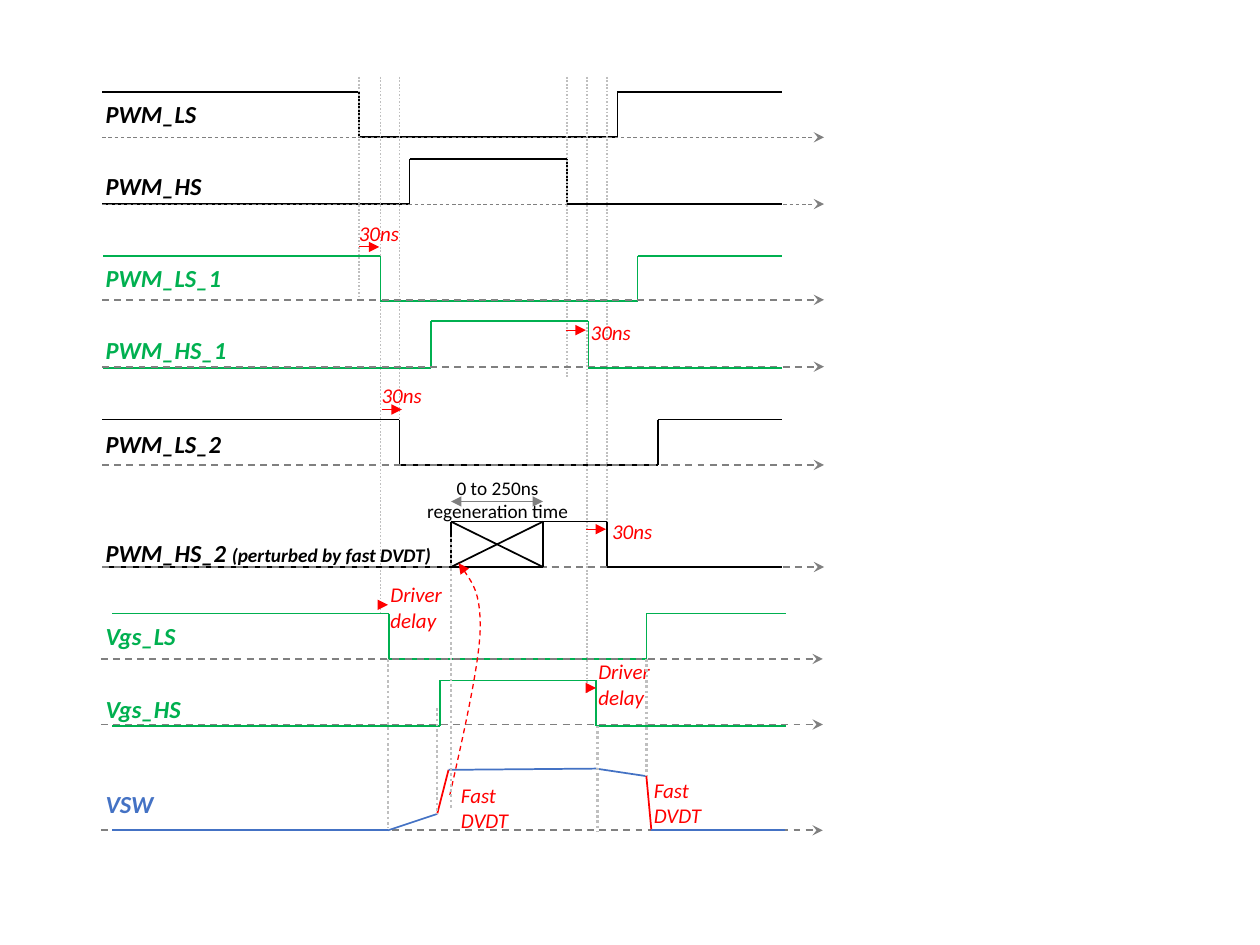
from itertools import pairwise

from pptx import Presentation
from pptx import util as u
from pptx.dml.color import RGBColor
from pptx.enum import dml, shapes, text
from pptx.oxml import ns, xmlchemy as xml

BLACK, GREEN, BLUE, RED = "000000", "00B050", "4472C4", "FF0000"
GRAY, PALE = "808080", "BFBFBF"
DASH, DOT = dml.MSO_LINE.DASH, dml.MSO_LINE.ROUND_DOT

# name, colour, label top and width, first and second level, start, edges, end
WAVES = [
    ("PWM_LS", BLACK, 0.74, 0.95, 0.73, 1.09, 0.81, 2.85, 4.9, 6.21),
    ("PWM_HS", BLACK, 1.31, 0.99, 1.62, 1.26, 0.81, 3.25, 4.5, 6.21),
    ("PWM_LS_1", GREEN, 2.04, 1.15, 2.03, 2.39, 0.82, 3.02, 5.06, 6.21),
    ("PWM_HS_1", GREEN, 2.61, 1.19, 2.92, 2.55, 0.82, 3.42, 4.67, 6.21),
    ("PWM_LS_2", BLACK, 3.36, 1.15, 3.33, 3.69, 0.81, 3.17, 5.22, 6.21),
    ("PWM_HS_2 ", BLACK, 4.22, 2.83, 4.5, 4.14, 0.81, 3.58, 4.82, 6.21),
    ("Vgs_LS", GREEN, 4.88, 0.78, 4.87, 5.23, 0.89, 3.09, 5.13, 6.24),
    ("Vgs_HS", GREEN, 5.46, 0.82, 5.76, 5.4, 0.89, 3.49, 4.73, 6.24),
]
ASIDES = {"PWM_HS_2 ": "(perturbed by fast DVDT)"}
SWITCH = [(0.89, 6.59), (3.08, 6.59), (3.47, 6.46), (3.56, 6.11),
          (4.73, 6.1), (5.13, 6.16), (5.17, 6.59), (6.23, 6.59)]
TINTS = [BLUE, BLUE, RED, BLUE, BLUE, RED, BLUE]
AXES = [(0.81, 1.09, 0.5), (0.81, 1.62, 0.5), (0.81, 2.38, 1),
        (0.81, 2.91, 1), (0.81, 3.69, 1), (0.81, 4.5, 1),
        (0.8, 5.23, 1), (0.8, 5.75, 1), (0.8, 6.59, 1)]
SPAN = 5.73
GUIDES = [(2.85, 0.61, 2.39, 1), (3.02, 0.61, 4.88, 1),
          (3.17, 0.61, 3.69, 1), (4.5, 0.61, 2.99, 1),
          (4.66, 0.61, 5.51, 1), (4.82, 0.61, 4.21, 1)]
DROPS = [(3.08, 5.23, 6.57, 1.5), (3.47, 5.62, 6.46, 1.5),
         (4.74, 5.76, 6.6, 1.5), (5.13, 5.23, 6.15, 1.5),
         (3.58, 4.26, 6.42, 1.5)]
DELAYS = [(2.85, 1.96, 0.16), (3.03, 3.25, 0.16), (4.49, 2.62, 0.16),
          (4.65, 4.2, 0.16), (3.03, 4.8, 0.05), (4.68, 5.46, 0.05)]
NOTES = [
    (["30ns"], 2.75, 1.7, 0.53, 0.3),
    (["30ns"], 2.93, 2.99, 0.53, 0.3),
    (["30ns"], 4.59, 2.49, 0.53, 0.3),
    (["30ns"], 4.76, 4.07, 0.53, 0.3),
    (["Driver", "delay"], 3, 4.57, 0.62, 0.5),
    (["Driver", "delay"], 4.65, 5.18, 0.62, 0.5),
    (["Fast", "DVDT"], 5.09, 6.12, 0.58, 0.5),
    (["Fast", "DVDT"], 3.56, 6.16, 0.58, 0.5),
]
BOX = (3.58, 4.14, 4.31, 4.5)
CURVE = [(3.57, 6.31), (3.68, 5.82), (3.79, 5.34), (3.81, 5.03),
         (3.82, 4.72), (3.73, 4.59), (3.64, 4.47)]

deck = Presentation()
deck.slide_width, deck.slide_height = u.Cm(25.4), u.Cm(19.05)
slide = deck.slides.add_slide(deck.slide_layouts[6])


def cm(inch):
    return u.Cm(inch * 2.54)


def hue(code):
    return RGBColor.from_string(code)


def style(shape, tint, width, dash=None, head=None, tail=None):
    shape.line.color.rgb = hue(tint)
    shape.line.width = u.Pt(width)
    if dash:
        shape.line.dash_style = dash
    ln = shape.element.spPr.find(ns.qn("a:ln"))
    for tag, kind in (("a:headEnd", head), ("a:tailEnd", tail)):
        if kind:
            end = xml.OxmlElement(tag)
            end.set("type", kind)
            ln.append(end)


def draw(start, end, tint, width=1, **ends):
    line = slide.shapes.add_connector(
        shapes.MSO_CONNECTOR.STRAIGHT, *map(cm, (*start, *end)))
    style(line, tint, width, **ends)
    line.element.spPr.append(xml.OxmlElement("a:effectLst"))


def trace(spots, tint):
    for start, end in pairwise(spots):
        draw(start, end, tint)


def plumb(rows):
    for x, top, low, width in rows:
        draw((x, top), (x, low), PALE, width, dash=DOT)


def write(lines, x, y, wide, high, tint, size, bold=False, slant=True,
          align=text.PP_ALIGN.LEFT):
    frame = slide.shapes.add_textbox(*map(cm, (x, y, wide, high))).text_frame
    frame.word_wrap = False
    frame.auto_size = text.MSO_AUTO_SIZE.SHAPE_TO_FIT_TEXT
    frame.text = "\n".join(lines)
    for para in frame.paragraphs:
        para.alignment = align
        font = para.font
        font.name, font.size = "Calibri", u.Pt(size)
        font.bold, font.italic = bold, slant
        font.color.rgb = hue(tint)
    return frame


def bend(spots, tint):
    first, *rest = [(cm(x), cm(y)) for x, y in spots]
    pen = slide.shapes.build_freeform(*first)
    pen.add_line_segments(rest, close=False)
    curve = pen.convert_to_shape()
    curve.fill.background()
    curve.shadow.inherit = False
    style(curve, tint, 0.75, dash=DASH, tail="triangle")
    steps = list(curve.element.iter(ns.qn("a:lnTo")))
    for i in range(0, len(steps), 3):
        cubic = xml.OxmlElement("a:cubicBezTo")
        steps[i].addprevious(cubic)
        for step in steps[i:i + 3]:
            cubic.append(step[0])
            step.getparent().remove(step)


for i, (name, tint, y, wide, one, two, start, rise, fall, _) in enumerate(WAVES):
    if i == 2:
        plumb(GUIDES)
    trace([(start, one), (rise, one), (rise, two), (fall, two), (fall, one)],
          tint)
    label = write([name], 0.74, y, wide, 0.34, tint, 14, bold=True)
    if name in ASIDES:
        aside = label.paragraphs[0].add_run()
        aside.text = ASIDES[name]
        aside.font.size = u.Pt(11)
write(["VSW"], 0.74, 6.21, 0.6, 0.34, BLUE, 14, bold=True)

for x, y, width in AXES:
    draw((x, y), (x + SPAN, y), GRAY, width, dash=DASH, tail="stealth")
for _, tint, _, _, one, _, _, _, fall, end in WAVES:
    draw((fall, one), (end, one), tint)
for pair, tint in zip(pairwise(SWITCH), TINTS):
    draw(*pair, tint)
for x, y, wide in DELAYS:
    draw((x, y), (x + wide, y), RED, 0.5, tail="triangle")
for lines, *area in NOTES:
    write(lines, *area, RED, 12)

left, top, right, low = BOX
draw((left, 3.98), (right, 3.98), GRAY, head="triangle", tail="triangle")
write(["0 to 250ns", "regeneration time"], 3.28, 3.73, 1.34, 0.47, BLACK, 11,
      slant=False, align=text.PP_ALIGN.CENTER)
trace([(right, top), (right, low), (left, low), (right, top)], BLACK)
draw((left, top), (right, low), BLACK)
bend(CURVE, RED)
plumb(DROPS)

deck.save("out.pptx")
